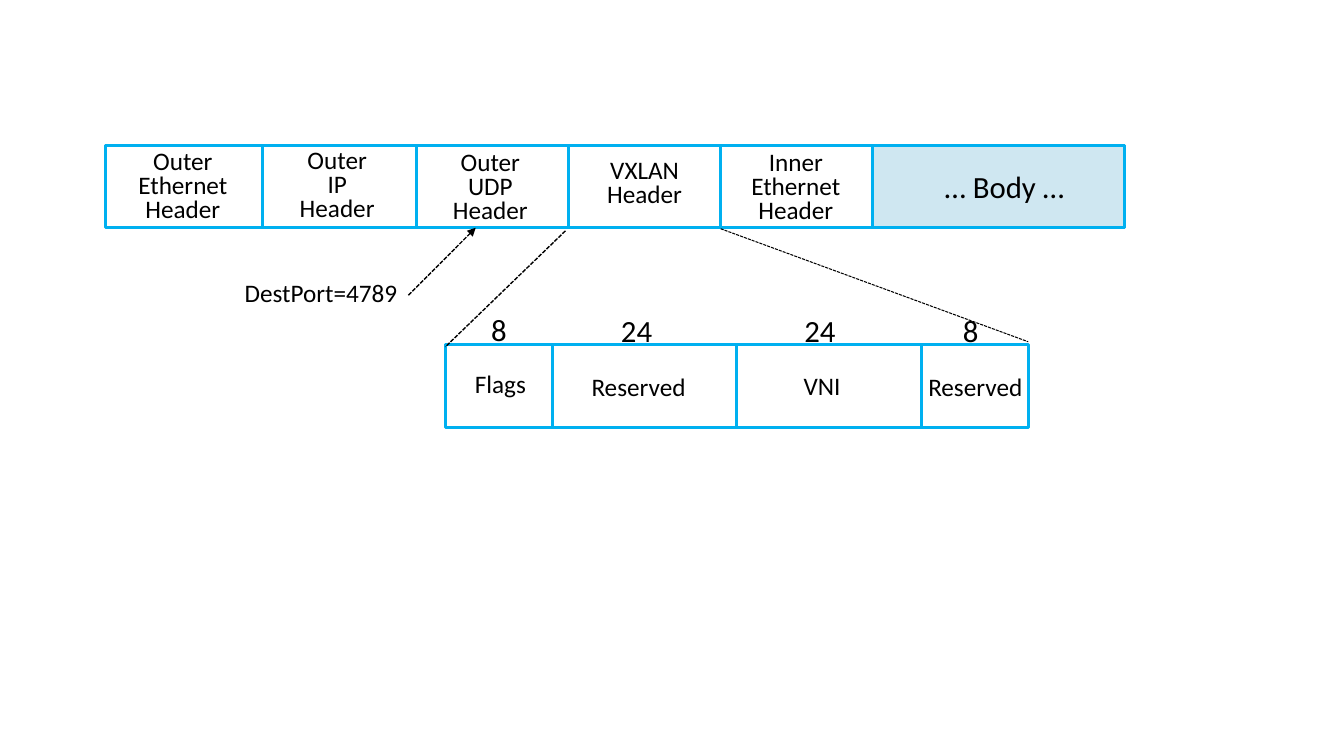
from pptx import Presentation
from pptx.util import Pt
from pptx.dml.color import RGBColor
from pptx.enum.dml import MSO_LINE
from pptx.enum.shapes import MSO_CONNECTOR, MSO_SHAPE
from pptx.enum.text import MSO_AUTO_SIZE, PP_ALIGN
from lxml import etree

# Content: field name lines, label left, label top
PACKET = dict(left=75.6, top=103.7, width=727.9, height=59, dividers=[187.2, 297.4, 406.1, 514.8])
PACKET_FIELDS = [
    (["Outer Ethernet", "Header"], 77, 104.4),
    (["Outer", "IP", "Header"], 187.2, 103.7),
    (["Outer", "UDP", "Header"], 296.6, 105.1),
    (["VXLAN", "Header"], 406.8, 110.9),
    (["Inner Ethernet", "Header"], 514.8, 105.1),
]
VXLAN = dict(left=318.2, top=246.2, width=416.2, height=59, dividers=[394.6, 526.3, 658.1])
VXLAN_FIELDS = [
    (["Flags"], 303.8, 263.5),
    (["Reserved"], 402.5, 265.7),
    (["VNI"], 533.5, 265),
    (["Reserved"], 643, 265.7),
]
# Bit counts: text, centre, top
BITS = [("8", 356.4, 218.2), ("24", 454.7, 218.9), ("24", 585.7, 218.9), ("8", 693.4, 218.9)]
# Dashed lines: start, end, weight, arrowhead at start
DASHED = [
    ((514.8, 163.4), (734.4, 244.1), 0.75, False),
    ((403.9, 164.9), (318.2, 247.7), 1, False),
    ((339.8, 162.7), (291.6, 211), 1, True),
]
BLUE, BLACK, PALE = "00B0F0", "000000", "CFE7F1"
FIELD_WIDTH, BITS_WIDTH = 107.3, 54
FIELD = dict(size=18, spacing=0.8)
LARGE = dict(size=22, spacing=1.0)
BODY_LEFT = 623.5
A = "{http://schemas.openxmlformats.org/drawingml/2006/main}"


def rgb(value):
    return RGBColor.from_string(value)


def add_rect(shapes, left, top, width, height, fill=None):
    sp = shapes.add_shape(MSO_SHAPE.RECTANGLE, Pt(left), Pt(top), Pt(width), Pt(height))
    sp.shadow.inherit = False
    if fill:
        sp.fill.solid()
        sp.fill.fore_color.rgb = rgb(fill)
    else:
        sp.fill.background()
    sp.line.color.rgb = rgb(BLUE)
    sp.line.width = Pt(2.25)


def add_line(shapes, start, end, color, weight, dash=None, arrow=False):
    cx = shapes.add_connector(MSO_CONNECTOR.STRAIGHT, *[Pt(v) for v in (*start, *end)])
    cx.line.color.rgb = rgb(color)
    cx.line.width = Pt(weight)
    if dash:
        cx.line.dash_style = dash
    if arrow:
        etree.SubElement(cx.line._get_or_add_ln(), A + "headEnd", type="triangle")
    etree.SubElement(cx._element.spPr, A + "effectLst")


def add_text(shapes, lines, left, top, width, size, spacing):
    height = 7.2 + len(lines) * size * 1.2 * spacing
    tf = shapes.add_textbox(Pt(left), Pt(top), Pt(width), Pt(height)).text_frame
    for name, value in dict(word_wrap=True, auto_size=MSO_AUTO_SIZE.SHAPE_TO_FIT_TEXT).items():
        setattr(tf, name, value)
    for i, line in enumerate(lines):
        p = tf.paragraphs[0] if i == 0 else tf.add_paragraph()
        p.alignment, p.line_spacing = PP_ALIGN.CENTER, spacing
        r = p.add_run()
        r.text = line
        for name, value in dict(name="Calibri", size=Pt(size)).items():
            setattr(r.font, name, value)
        r.font.color.rgb = rgb(BLACK)


def add_row(shapes, left, top, width, height, dividers):
    add_rect(shapes, left, top, width, height)
    for x in dividers:
        add_line(shapes, (x, top), (x, top + height), BLUE, 2.25)


prs = Presentation()
prs.slide_width, prs.slide_height = Pt(960), Pt(540)
shapes = prs.slides.add_slide(prs.slide_layouts[6]).shapes

# Encapsulated packet and, grouped, its VXLAN header
vxlan_group = None
for row, fields in ((PACKET, PACKET_FIELDS), (VXLAN, VXLAN_FIELDS)):
    target = shapes if row is PACKET else shapes.add_group_shape().shapes
    add_row(target, **row)
    if row is PACKET:
        right = row["left"] + row["width"]
        add_rect(target, BODY_LEFT, row["top"], right - BODY_LEFT, row["height"], PALE)
        add_text(target, ["… Body …"], 663.8, 115.9, FIELD_WIDTH, **LARGE)
    for lines, left, top in fields:
        add_text(target, lines, left, top, FIELD_WIDTH, **FIELD)

# Zoom lines and port arrow
for start, end, weight, arrow in DASHED:
    add_line(shapes, start, end, BLACK, weight, MSO_LINE.SQUARE_DOT, arrow)

# Bit counts and port label
for text, centre, top in BITS:
    add_text(shapes, [text], centre - BITS_WIDTH / 2, top, BITS_WIDTH, **LARGE)
add_text(shapes, ["DestPort=4789"], 167, 198.7, 124.6, **FIELD)

prs.save("out.pptx")
